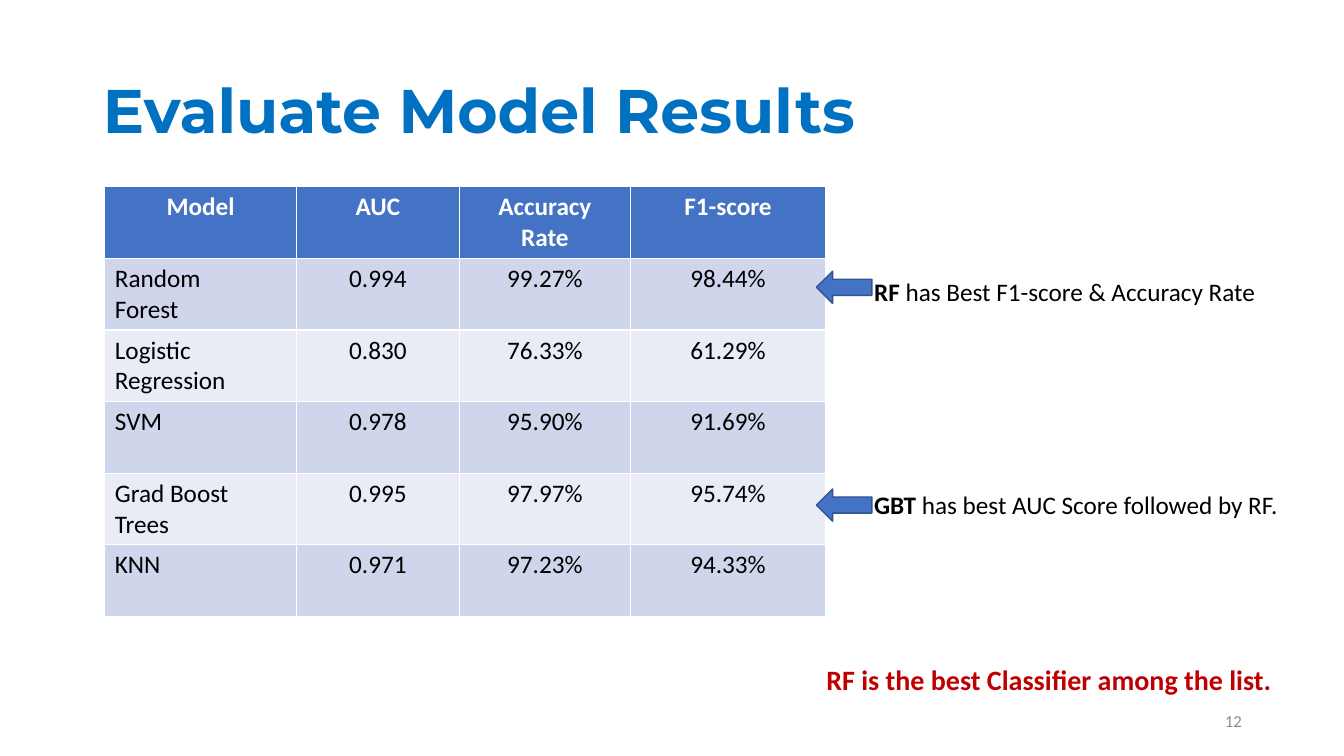
from pptx import Presentation
from pptx.dml.color import RGBColor
from pptx.enum.shapes import MSO_SHAPE as Shape
from pptx.enum.text import MSO_ANCHOR as Anchor, MSO_AUTO_SIZE as AutoSize, PP_ALIGN as Align
from pptx.util import Inches, Pt

BLUE, DARK_BLUE, TITLE_BLUE = "4472C4", "325491", "0070C0"
BANDS = ["CFD5EA", "E9EBF5"]
WHITE, BLACK, RED, GRAY = "FFFFFF", "000000", "C00000", "8C8C8C"


def color(hex_code):
    return RGBColor.from_string(hex_code)


def write(frame, lines, size=18, ink=BLACK, bold=False, font="Calibri",
          align=Align.LEFT, anchor=Anchor.TOP, spacing=None):
    """Each line is a string or a list of (words, bold) runs."""
    frame.word_wrap = True
    frame.vertical_anchor = anchor
    for index, line in enumerate(lines):
        paragraph = frame.paragraphs[0] if index == 0 else frame.add_paragraph()
        paragraph.alignment = align
        if spacing:
            paragraph.line_spacing = spacing
        for words, heavy in ([(line, bold)] if isinstance(line, str) else line):
            run = paragraph.add_run()
            run.text = words
            run.font.name, run.font.size, run.font.bold = font, Pt(size), heavy
            run.font.color.rgb = color(ink)


class ResultsSlide:
    """Places are given in percent of the slide's width and height."""

    def __init__(self, deck):
        self.width, self.height = deck.slide_width, deck.slide_height
        self.slide = deck.slides.add_slide(deck.slide_layouts[5])
        self.shapes = self.slide.shapes

    def across(self, share):
        return round(self.width * share / 100)

    def down(self, share):
        return round(self.height * share / 100)

    def box(self, left, top, width, height):
        return self.across(left), self.down(top), self.across(width), self.down(height)

    def title(self, words, place):
        heading = self.shapes.title
        heading.left, heading.top, heading.width, heading.height = self.box(*place)
        heading.text_frame.auto_size = AutoSize.NONE
        write(heading.text_frame, [words], size=44, ink=TITLE_BLUE, bold=True,
              font="Montserrat", anchor=Anchor.MIDDLE, spacing=0.9)

    def text(self, line, place, **style):
        write(self.shapes.add_textbox(*self.box(*place)).text_frame, [line], **style)

    def arrow(self, place):
        pointer = self.shapes.add_shape(Shape.LEFT_ARROW, *self.box(*place))
        pointer.shadow.inherit = False
        pointer.fill.solid()
        pointer.fill.fore_color.rgb = color(BLUE)
        pointer.line.color.rgb = color(DARK_BLUE)
        pointer.line.width = Pt(1)

    def table(self, rows, left, top, column_shares, row_share):
        place = self.box(left, top, sum(column_shares), row_share * len(rows))
        scores = self.shapes.add_table(len(rows), len(column_shares), *place).table
        for column, share in zip(scores.columns, column_shares):
            column.width = self.across(share)
        for r, row in enumerate(rows):
            scores.rows[r].height = self.down(row_share)
            header = r == 0
            for c, entry in enumerate(row):
                cell = scores.cell(r, c)
                cell.fill.solid()
                cell.fill.fore_color.rgb = color(BLUE if header else BANDS[(r - 1) % 2])
                write(cell.text_frame, entry.split("\n"), bold=header,
                      ink=WHITE if header else BLACK,
                      align=Align.CENTER if header or c else Align.LEFT)


def main():
    deck = Presentation()
    deck.slide_width, deck.slide_height = Inches(13.33), Inches(7.5)
    results = ResultsSlide(deck)

    # Title
    results.title("Evaluate Model Results", (6.9, 5.33, 86.25, 19.33))

    # Scores of each model
    results.table([
        ("Model", "AUC", "Accuracy\nRate", "F1-score"),
        ("Random\nForest", "0.994", "99.27%", "98.44%"),
        ("Logistic Regression", "0.830", "76.33%", "61.29%"),
        ("SVM", "0.978", "95.90%", "91.69%"),
        ("Grad Boost Trees", "0.995", "97.97%", "95.74%"),
        ("KNN", "0.971", "97.23%", "94.33%"),
    ], left=7.8, top=24.7, column_shares=(14.25, 12.15, 12.7, 14.55), row_share=9.47)

    # Remarks with arrows to their rows
    for model, remark, remark_top, arrow_top in [
        ("RF", " has Best F1-score & Accuracy Rate", 35.87, 35.87),
        ("GBT", " has best AUC Score followed by RF.", 64.13, 64.67),
    ]:
        results.text([(model, True), (remark, False)], (64.3, remark_top, 32.1, 5.33))
        results.arrow((60.75, arrow_top, 4.13, 4.27))

    # Conclusion and page number
    results.text("RF is the best Classifier among the list.", (60.75, 86.93, 35.63, 5.87),
                 size=20, ink=RED, bold=True)
    results.text("12", (70.65, 92.67, 22.5, 5.33), size=12, ink=GRAY,
                 align=Align.RIGHT, anchor=Anchor.MIDDLE)

    deck.save("out.pptx")


if __name__ == "__main__":
    main()
